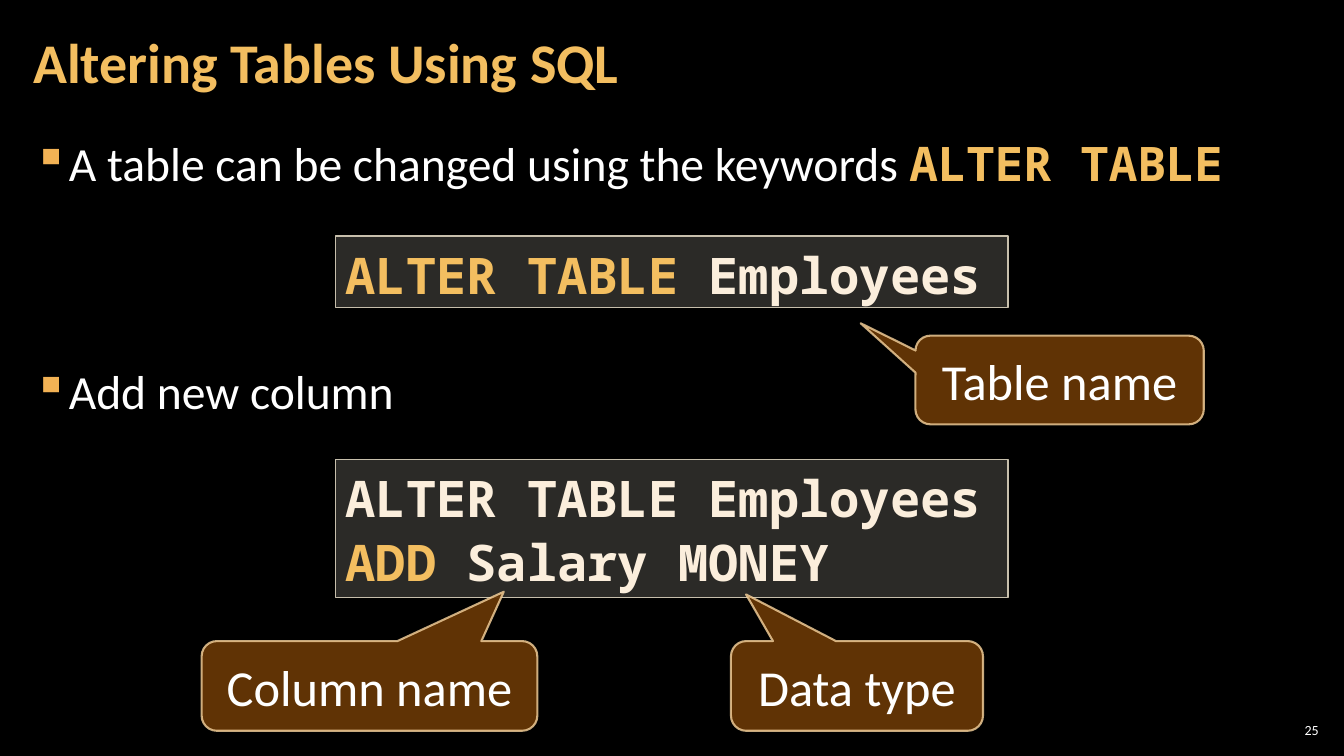
"""Build the slide on altering tables using SQL."""
from dataclasses import dataclass

from lxml import etree
from pptx import Presentation
from pptx import util as u
from pptx.dml.color import RGBColor
from pptx.enum import shapes, text
from pptx.oxml import ns

BLACK = RGBColor(0x00, 0x00, 0x00)
WHITE = RGBColor(0xFF, 0xFF, 0xFF)
GOLD = RGBColor(0xF3, 0xBE, 0x60)
CREAM = RGBColor(0xFB, 0xEE, 0xDC)
CODE_FILL = RGBColor(0xD9, 0xD5, 0xC7)
CODE_LINE = RGBColor(0xC7, 0xBF, 0xAC)
CALLOUT_FILL = RGBColor(0x66, 0x36, 0x06)
CALLOUT_LINE = RGBColor(0xF8, 0xD4, 0x9E)
BULLET_COLOR = "F2B254"
SANS, MONO = "Calibri", "Noto Sans Mono"

Box = tuple[float, float, float, float]
INSETS = dict(margin_left=u.Inches(0.12), margin_right=u.Inches(0.12),
              margin_top=u.Inches(0.04), margin_bottom=u.Inches(0.04))
MIDDLE = dict(vertical_anchor=text.MSO_ANCHOR.MIDDLE)
GROW = dict(auto_size=text.MSO_AUTO_SIZE.SHAPE_TO_FIT_TEXT)
CODE_LINES = dict(line_spacing=1.05, alignment=text.PP_ALIGN.LEFT)
CENTERED = dict(alignment=text.PP_ALIGN.CENTER)


@dataclass(frozen=True)
class Run:
    words: str
    size: float
    color: RGBColor = WHITE
    font: str = SANS
    bold: bool = False


@dataclass(frozen=True)
class Code:
    box: Box
    lines: list[list[Run]]


@dataclass(frozen=True)
class Callout:
    label: str
    box: Box
    tip: tuple[float, float]


def code_run(words: str, color: RGBColor = CREAM, size: float = 36) -> Run:
    return Run(words, size, color, MONO, True)


CODES = [
    Code((3.33, 4.56, 6.67, 1.37), [
        [code_run("ALTER TABLE Employees")],
        [code_run("ADD", GOLD), code_run(" Salary MONEY")]]),
    Code((3.33, 2.34, 6.67, 0.71), [
        [code_run("ALTER TABLE ", GOLD), code_run("Employees")]]),
]
CALLOUTS = [
    Callout("Table name", (9.08, 3.33, 2.86, 0.88), (-0.69, -0.64)),
    Callout("Column name", (2, 6.36, 3.33, 0.89), (0.4, -1.05)),
    Callout("Data type", (7.25, 6.36, 2.5, 0.89), (-0.44, -1.02)),
]
BULLETS = [
    (6, [Run("A table can be changed using the keywords ", 34),
         code_run("ALTER TABLE", GOLD, 34)]),
    (114, [Run("Add new column", 34)]),
]


def apply(target, values: dict) -> None:
    for key, value in values.items():
        setattr(target, key, value)


def write(paragraph, runs: list[Run], layout: dict) -> None:
    apply(paragraph, layout)
    for item in runs:
        run = paragraph.add_run()
        run.text = item.words
        apply(run.font, dict(size=u.Pt(item.size), name=item.font, bold=item.bold))
        run.font.color.rgb = item.color


def fill_frame(frame, lines: list[list[Run]], layouts: list[dict], **options) -> None:
    apply(frame, dict(word_wrap=True) | options)
    for index, (runs, layout) in enumerate(zip(lines, layouts)):
        paragraph = frame.add_paragraph() if index else frame.paragraphs[0]
        write(paragraph, runs, layout)


def add_text(slide, box: Box, lines: list[list[Run]], layouts: list[dict], **options):
    frame = slide.shapes.add_textbox(*map(u.Inches, box)).text_frame
    fill_frame(frame, lines, layouts, **options)
    return frame


def set_opacity(color_parent, percent: int) -> None:
    for color in color_parent.iter(ns.qn("a:srgbClr")):
        etree.SubElement(color, ns.qn("a:alpha"), val=str(percent * 1000))


def add_panel(slide, kind, box: Box, fill: RGBColor, fill_opacity: int,
              line: RGBColor, line_opacity: int, width: float):
    panel = slide.shapes.add_shape(kind, *map(u.Inches, box))
    panel.shadow.inherit = False
    panel.fill.solid()
    panel.fill.fore_color.rgb = fill
    panel.line.color.rgb = line
    panel.line.width = u.Pt(width)
    properties = panel.element.spPr
    set_opacity(properties.find(ns.qn("a:solidFill")), fill_opacity)
    set_opacity(properties.find(ns.qn("a:ln")), line_opacity)
    return panel


def add_code(slide, code: Code) -> None:
    panel = add_panel(slide, shapes.MSO_SHAPE.RECTANGLE, code.box,
                      CODE_FILL, 20, CODE_LINE, 100, 1)
    fill_frame(panel.text_frame, code.lines, [CODE_LINES] * len(code.lines),
               vertical_anchor=text.MSO_ANCHOR.TOP, **GROW)


def add_callout(slide, callout: Callout) -> None:
    panel = add_panel(slide, shapes.MSO_SHAPE.ROUNDED_RECTANGULAR_CALLOUT,
                      callout.box, CALLOUT_FILL, 95, CALLOUT_LINE, 80, 1.5)
    for index, value in enumerate((*callout.tip, 0.17)):
        panel.adjustments[index] = value
    fill_frame(panel.text_frame, [[Run(callout.label, 36)]], [CENTERED], **MIDDLE)


def add_bullet(paragraph) -> None:
    properties = paragraph._p.get_or_add_pPr()
    indent = u.Inches(0.33)
    properties.set("marL", str(indent))
    properties.set("indent", str(-indent))
    color = etree.SubElement(properties, ns.qn("a:buClr"))
    etree.SubElement(color, ns.qn("a:srgbClr"), val=BULLET_COLOR)
    etree.SubElement(properties, ns.qn("a:buChar"), char="▪")


def main() -> None:
    deck = Presentation()
    apply(deck, dict(slide_width=u.Inches(13.33), slide_height=u.Inches(7.5)))
    slide = deck.slides.add_slide(deck.slide_layouts[6])
    slide.background.fill.solid()
    slide.background.fill.fore_color.rgb = BLACK

    narrow = dict.fromkeys(INSETS, u.Inches(0.04))
    add_text(slide, (12.65, 7.14, 0.47, 0.21), [[Run("25", 10)]],
             [dict(alignment=text.PP_ALIGN.RIGHT)], **narrow, **MIDDLE)
    spacings = [dict(line_spacing=1.05, space_before=u.Pt(before), space_after=u.Pt(6))
                for before, _ in BULLETS]
    body = add_text(slide, (0.21, 1.26, 12.91, 6.09),
                    [runs for _, runs in BULLETS], spacings, **INSETS)
    for paragraph in body.paragraphs:
        add_bullet(paragraph)
    add_text(slide, (0.21, 0.04, 10.47, 1.21),
             [[Run("Altering Tables Using SQL", 40, GOLD, bold=True)]],
             [dict(line_spacing=0.9)], **INSETS, **MIDDLE)
    for code in CODES:
        add_code(slide, code)
    for callout in CALLOUTS:
        add_callout(slide, callout)
    deck.save("out.pptx")


if __name__ == "__main__":
    main()
